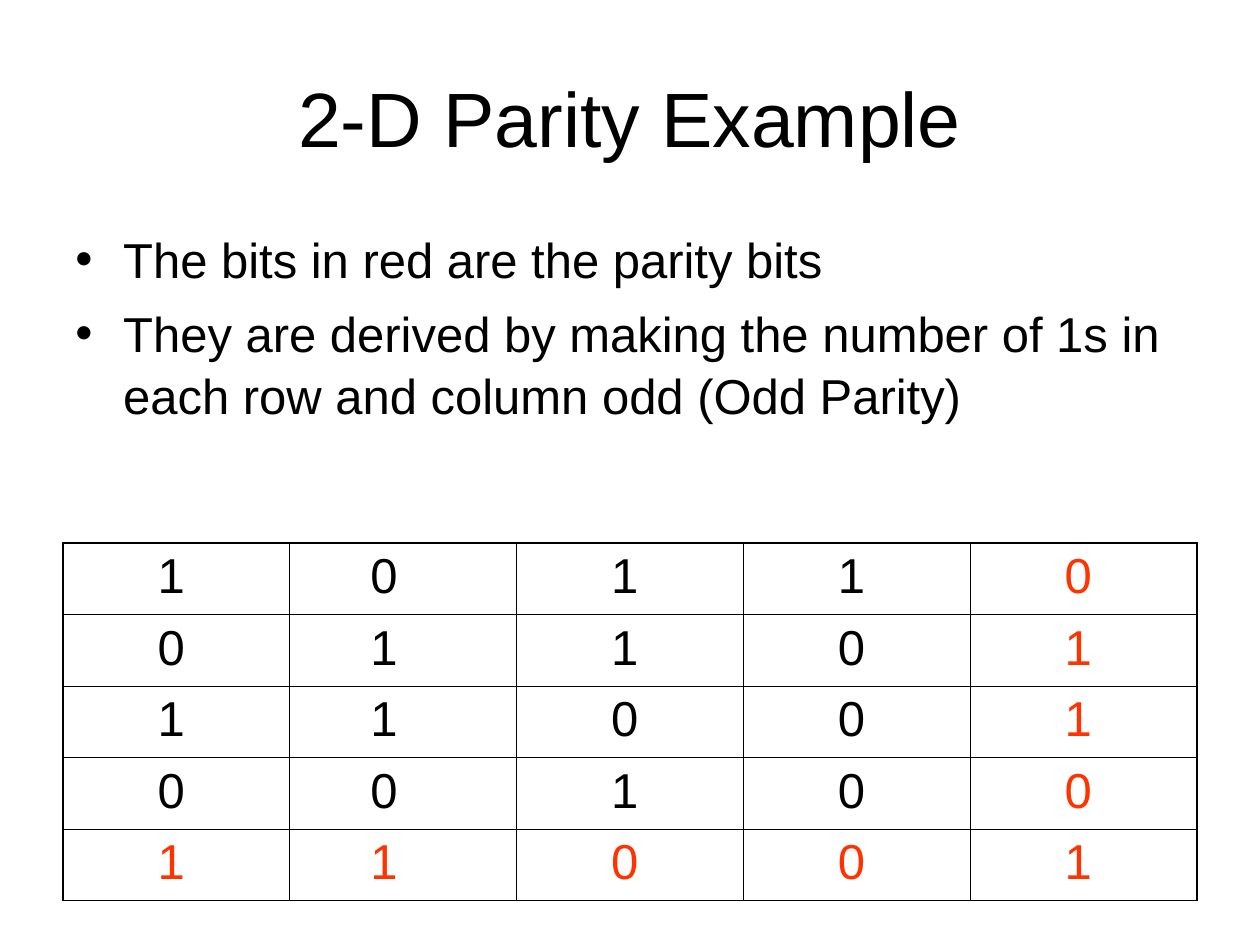
import pptx
import pptx.util
import pptx.dml.color
import pptx.enum.text
import pptx.oxml
import pptx.oxml.ns

Inches, Pt = pptx.util.Inches, pptx.util.Pt
HUES = {"text": "000000", "parity": "FF3300", "line": "000000"}
POINTS = [
    "The bits in red are the parity bits",
    "They are derived by making the number of 1s in each row and column odd (Odd Parity)",
]
BITS = ["10110", "01101", "11001", "00100", "11001"]
INDENT = 0.38


def apply(item, **form):
    for name, value in form.items():
        setattr(item, name, value)


def style(font, size, hue="text"):
    apply(font, name="Arial", size=Pt(size))
    font.color.rgb = pptx.dml.color.RGBColor.from_string(HUES[hue])


def place(shape, box):
    sides = map(Inches, box)
    apply(shape, **dict(zip(("left", "top", "width", "height"), sides)))


def node(tag, inner="", **attrs):
    """Make an element of the drawing namespace."""
    pairs = "".join(f' {key}="{value}"' for key, value in attrs.items())
    space = pptx.oxml.ns.nsdecls("a")
    return pptx.oxml.parse_xml(f"<a:{tag} {space}{pairs}>{inner}</a:{tag}>")


def add_title(slide, box, text):
    title = slide.shapes.title
    place(title, box)
    frame = title.text_frame
    apply(frame, text=text, word_wrap=True,
          vertical_anchor=pptx.enum.text.MSO_ANCHOR.MIDDLE)
    para = frame.paragraphs[0]
    para.alignment = pptx.enum.text.PP_ALIGN.CENTER
    style(para.runs[0].font, 44)


def add_points(slide, box, points):
    frame = slide.shapes.add_textbox(*map(Inches, box)).text_frame
    apply(frame, word_wrap=True, text="\n".join(points))
    for para in frame.paragraphs:
        apply(para, space_before=Pt(7), line_spacing=1.05)
        style(para.runs[0].font, 28)
        props = para._p.get_or_add_pPr()
        props.set("marL", str(Inches(INDENT)))
        props.set("indent", str(-Inches(INDENT)))
        props.append(node("buFont", typeface="Arial"))
        props.append(node("buChar", char="•"))


def rule_cell(cell, outer):
    """Draw the four borders, thicker on the sides named in outer."""
    props = cell._tc.get_or_add_tcPr()
    fill = f'<a:solidFill><a:srgbClr val="{HUES["line"]}"/></a:solidFill>'
    for spot, side in enumerate("LRTB"):
        width = Pt(1.08 if side in outer else 0.45)
        props.insert(spot, node("ln" + side, fill, w=int(width)))


def add_bits(slide, box, bits):
    rows, cols = len(bits), len(bits[0])
    grid = slide.shapes.add_table(rows, cols, *map(Inches, box)).table
    apply(grid, first_row=False, horz_banding=False)
    for r, line in enumerate(bits):
        for c, bit in enumerate(line):
            cell = grid.cell(r, c)
            edges = {"L": c == 0, "R": c == cols - 1,
                     "T": r == 0, "B": r == rows - 1}
            left = 0.64 if c == 1 else 0.75
            apply(cell, text=bit, margin_left=Inches(left),
                  margin_right=Inches(0.1), margin_top=Inches(0.05),
                  margin_bottom=Inches(0.05))
            cell.fill.background()
            parity = edges["R"] or edges["B"]
            run = cell.text_frame.paragraphs[0].runs[0]
            style(run.font, 28, "parity" if parity else "text")
            rule_cell(cell, [side for side in edges if edges[side]])


def main():
    deck = pptx.Presentation()
    apply(deck, slide_width=Inches(10), slide_height=Inches(7.5))
    slide = deck.slides.add_slide(deck.slide_layouts.get_by_name("Title Only"))
    add_title(slide, (0.5, 0.3, 9, 1.25), "2-D Parity Example")
    add_points(slide, (0.5, 1.75, 9, 2.39), POINTS)
    add_bits(slide, (0.5, 4.31, 9, 2.83), BITS)
    deck.save("out.pptx")


if __name__ == "__main__":
    main()
